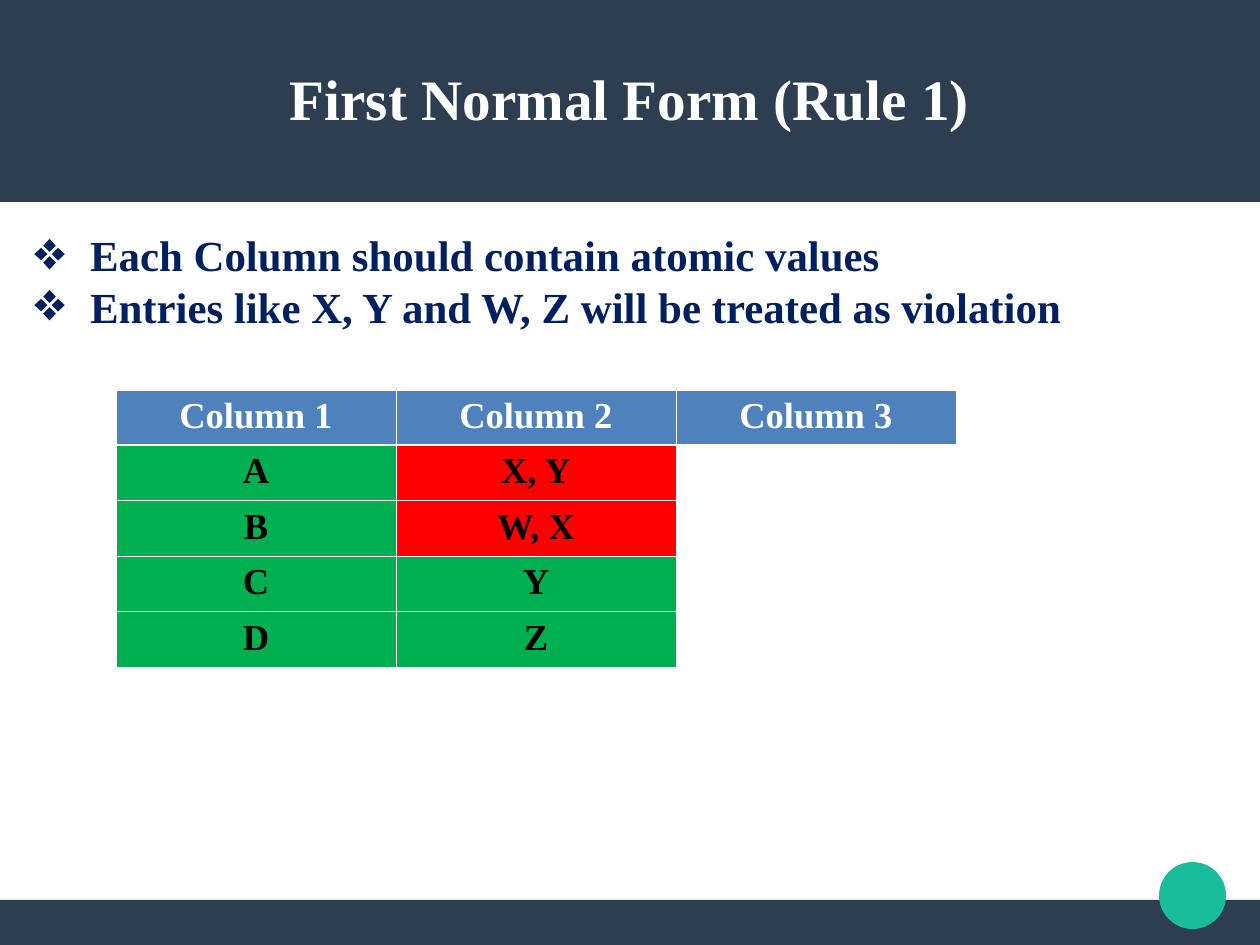
from dataclasses import dataclass
from lxml.etree import SubElement
from pptx import Presentation
from pptx.dml.color import RGBColor as RGB
from pptx.enum.shapes import MSO_SHAPE as Shape
from pptx.enum.text import MSO_ANCHOR as Anchor, MSO_AUTO_SIZE as Auto, PP_ALIGN as Align
from pptx.oxml.ns import qn
from pptx.util import Pt

# Content
TITLE = "First Normal Form (Rule 1)"
POINTS = [
    "Each Column should contain atomic values",
    "Entries like X, Y and W, Z will be treated as violation",
]
ROWS = [
    ("Column 1", "Column 2", "Column 3"),
    ("A", "X, Y", ""),
    ("B", "W, X", ""),
    ("C", "Y", ""),
    ("D", "Z", ""),
]


@dataclass(frozen=True)
class Theme:
    font: str = "Times New Roman"
    white: str = "FFFFFF"
    black: str = "000000"
    dark: str = "2C3E50"
    teal: str = "1ABC9C"
    navy: str = "002060"
    head: str = "4F81BD"
    good: str = "00B050"
    bad: str = "FF0000"
    title: int = 36
    body: int = 27
    cell: int = 23
    thin: float = 0.45
    thick: float = 1.47


T = Theme()

# Layout in px
PX = 8000
WIDE, HIGH = 1260, 945
DECOR = [
    (Shape.RECTANGLE, (0, 900, WIDE, 45), T.dark),
    (Shape.RECTANGLE, (0, 0, WIDE, 202), T.dark),
    (Shape.OVAL, (1159, 862, 67, 67), T.teal),
]
HEAD_BOX = (45, 38, 1169, 120)
BODY_BOX = (22, 223, 1193, 166)
GRID_BOX = (116, 390, 840, 277)
INDENT = 57
PAD_X, PAD_Y = 11, 6


def emu(box):
    return [n * PX for n in box]


def place(item, box):
    item.left, item.top, item.width, item.height = emu(box)


def pad(frame, x, y):
    frame.margin_left = frame.margin_right = x * PX
    frame.margin_top = frame.margin_bottom = y * PX


def style(para, size, color, align):
    para.alignment = align
    para.space_before = Pt(0)
    font = para.font
    font.name, font.size, font.bold = T.font, Pt(size), True
    font.color.rgb = RGB.from_string(color)


def bullet(para):
    props = para._p.get_or_add_pPr()
    props.set("marL", str(INDENT * PX))
    props.set("indent", str(-INDENT * PX))
    tint = SubElement(props, qn("a:buClr"))
    SubElement(tint, qn("a:srgbClr"), val=T.navy)
    SubElement(props, qn("a:buFont"), typeface=T.font)
    SubElement(props, qn("a:buChar"), char="❖")


def border(cell, row):
    props = cell._tc.get_or_add_tcPr()
    sides = {"L": T.thin, "R": T.thin,
             "T": T.thick if row == 1 else T.thin,
             "B": T.thick if row == 0 else T.thin}
    for spot, (side, width) in enumerate(sides.items()):
        line = SubElement(props, qn(f"a:ln{side}"), w=str(Pt(width)))
        fill = SubElement(line, qn("a:solidFill"))
        SubElement(fill, qn("a:srgbClr"), val=T.white)
        props.insert(spot, line)


def shade(row, text):
    if row == 0:
        return T.head
    return T.bad if "," in text else T.good


def main():
    deck = Presentation()
    deck.slide_width, deck.slide_height = WIDE * PX, HIGH * PX
    slide = deck.slides.add_slide(deck.slide_layouts[1])
    title, body = slide.shapes.title, slide.placeholders[1]

    # Bands and dot, behind the text
    for kind, box, color in DECOR:
        part = slide.shapes.add_shape(kind, *emu(box))
        part.shadow.inherit = False
        part.fill.solid()
        part.fill.fore_color.rgb = RGB.from_string(color)
        part.line.fill.background()
        title.element.addprevious(part.element)

    # Title
    place(title, HEAD_BOX)
    frame = title.text_frame
    frame.text, frame.auto_size = TITLE, Auto.NONE
    frame.vertical_anchor = Anchor.MIDDLE
    pad(frame, 0, 0)
    style(frame.paragraphs[0], T.title, T.white, Align.CENTER)

    # Bullet list
    place(body, BODY_BOX)
    frame = body.text_frame
    frame.text, frame.auto_size = "\n".join(POINTS), Auto.NONE
    frame.vertical_anchor = Anchor.TOP
    pad(frame, PAD_X, PAD_Y)
    for para in frame.paragraphs:
        style(para, T.body, T.navy, Align.JUSTIFY)
        bullet(para)

    # Table
    grid = slide.shapes.add_table(len(ROWS), len(ROWS[0]), *emu(GRID_BOX)).table
    for r, row in enumerate(ROWS):
        for c, text in enumerate(row):
            cell = grid.cell(r, c)
            cell.text = text
            pad(cell, PAD_X, PAD_Y)
            color = T.black if r else T.white
            style(cell.text_frame.paragraphs[0], T.cell, color, Align.CENTER)
            if text:
                cell.fill.solid()
                cell.fill.fore_color.rgb = RGB.from_string(shade(r, text))
            else:
                cell.fill.background()
            border(cell, r)

    deck.save("out.pptx")


if __name__ == "__main__":
    main()
